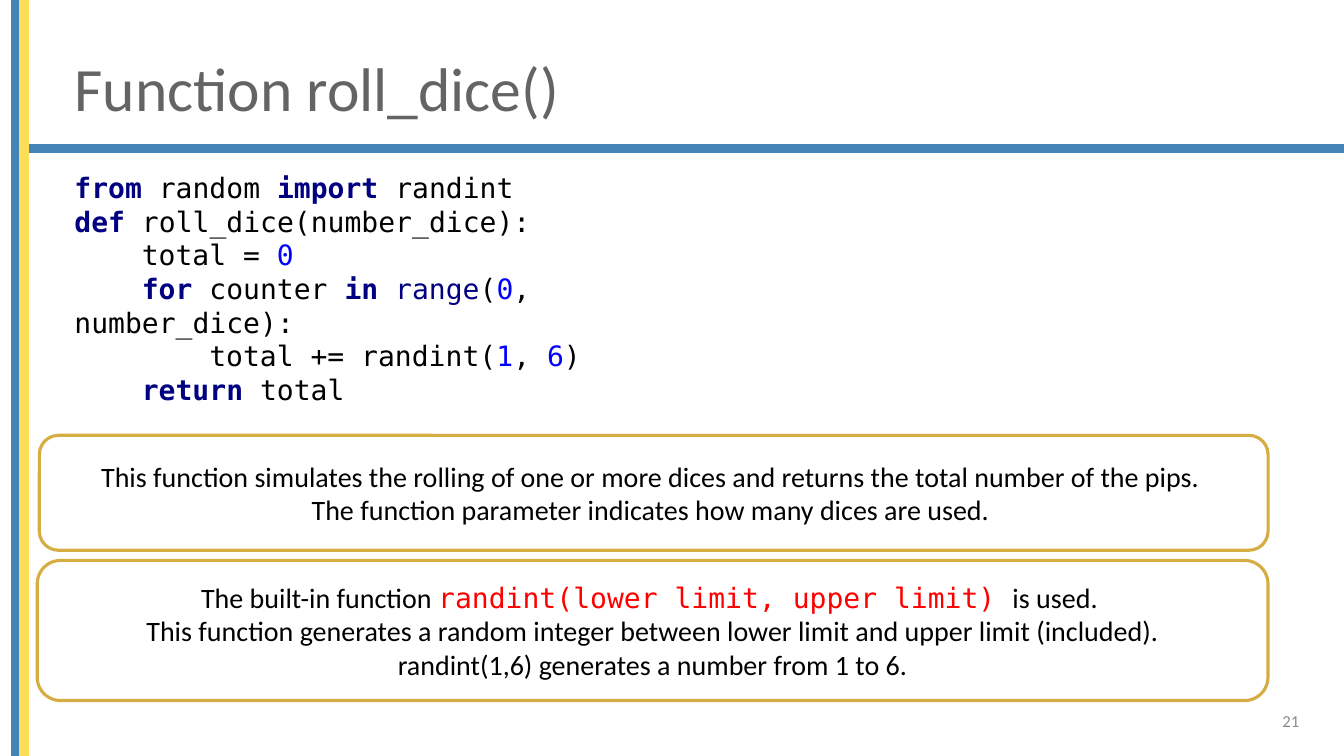
from lxml.etree import SubElement
from pptx import Presentation
from pptx.dml.color import RGBColor
from pptx.enum.shapes import MSO_SHAPE
from pptx.enum.text import MSO_ANCHOR, PP_ALIGN
from pptx.util import Pt

COLORS = {
    "blue": "4584B6", "yellow": "FFDE57", "gold": "D5AD42", "white": "FFFFFF",
    "title": "646464", "number": "8C8C8C", "plain": "000000",
    "keyword": "000080", "builtin": "000080", "literal": "0000FF", "call": "FF0000",
}
BODY_FONT, CODE_FONT = "Calibri", "DejaVu Sans Mono"
CODE_INDENT = 48.16

TITLE = "Function roll_dice()"
CODE = [
    (0, [("from ", "keyword"), ("random ", "plain"), ("import ", "keyword"), ("randint", "plain")]),
    (0, [("def ", "keyword"), ("roll_dice(number_dice):", "plain")]),
    (1, [("total = ", "plain"), ("0", "literal")]),
    (1, [("for ", "keyword"), ("counter ", "plain"), ("in ", "keyword"), ("range", "builtin"),
         ("(", "plain"), ("0", "literal"), (", number_dice):", "plain")]),
    (2, [("total += randint(", "plain"), ("1", "literal"), (", ", "plain"),
         ("6", "literal"), (")", "plain")]),
    (1, [("return ", "keyword"), ("total", "plain")]),
]
NOTES = [
    ((28.1, 311, 877.7, 82.1), [
        [("This function simulates the rolling of one or more dices and returns "
          "the total number of the pips. ", "plain")],
        [("The function parameter indicates how many dices are used. ", "plain")],
    ]),
    ((26.6, 400.3, 879.1, 100.1), [
        [("The built-in function ", "plain"),
         ("randint(lower limit, upper limit) ", "call"), ("is used. ", "plain")],
        [("This function generates a random integer between lower limit "
          "and upper limit (included).", "plain")],
        [("randint(1,6) generates a number from 1 to 6.", "plain")],
    ]),
]
BARS = [
    ((13.3, 103.3, 946.7, 5.8), "blue"),
    ((8.6, 0, 5.8, 540), "blue"),
    ((14.4, 0, 5.8, 540), "yellow"),
]


def rgb(name):
    return RGBColor.from_string(COLORS[name])


def add_run(paragraph, text, *, size=20, font=BODY_FONT, color="plain", bold=False):
    run = paragraph.add_run()
    run.text = text
    run.font.size = Pt(size)
    run.font.name = font
    run.font.bold = bold
    run.font.color.rgb = rgb(color)


def points(box):
    return [Pt(length) for length in box]


def add_panel(kind, box, fill, line, weight):
    panel = slide.shapes.add_shape(kind, *points(box))
    panel.shadow.inherit = False
    panel.fill.solid()
    panel.fill.fore_color.rgb = rgb(fill)
    panel.line.color.rgb = rgb(line)
    panel.line.width = Pt(weight)
    return panel


def add_textbox(box):
    frame = slide.shapes.add_textbox(*points(box)).text_frame
    frame.word_wrap = True
    frame.vertical_anchor = MSO_ANCHOR.MIDDLE
    return frame


def paragraphs(frame, count):
    for _ in range(count - 1):
        frame.add_paragraph()
    return frame.paragraphs


deck = Presentation()
deck.slide_width, deck.slide_height = Pt(960), Pt(540)
slide = deck.slides.add_slide(deck.slide_layouts[5])

for box, color in BARS:
    add_panel(MSO_SHAPE.RECTANGLE, box, color, color, 1)

title = slide.shapes.title
title.left, title.top, title.width, title.height = points((46.1, 28.8, 848.2, 72.7))
title.text_frame.vertical_anchor = MSO_ANCHOR.MIDDLE
heading = title.text_frame.paragraphs[0]
heading.alignment = PP_ALIGN.LEFT
heading.line_spacing = 0.9
add_run(heading, TITLE, size=44, color="title")

page_number = add_textbox((719.3, 500.4, 216, 28.8)).paragraphs[0]
page_number.alignment = PP_ALIGN.RIGHT
page_properties = {"id": "{B6F15528-21DE-4FAA-801E-634DDDAF4B2B}", "type": "slidenum"}
add_run(page_number, "21", size=12, color="number")

for box, lines in NOTES:
    frame = add_panel(MSO_SHAPE.ROUNDED_RECTANGLE, box, "white", "gold", 2.25).text_frame
    frame.word_wrap = True
    frame.vertical_anchor = MSO_ANCHOR.MIDDLE
    for paragraph, pieces in zip(paragraphs(frame, len(lines)), lines):
        paragraph.alignment = PP_ALIGN.CENTER
        for text, role in pieces:
            add_run(paragraph, text, color=role, font=CODE_FONT if role == "call" else BODY_FONT)

listing = add_textbox((46.1, 129.6, 470.2, 152.6))
for paragraph, (level, pieces) in zip(paragraphs(listing, len(CODE)), CODE):
    paragraph.alignment = PP_ALIGN.LEFT
    properties = paragraph._p.get_or_add_pPr()
    properties.set("marL", "0")
    properties.set("indent", str(Pt(level * CODE_INDENT)))
    for text, role in pieces:
        add_run(paragraph, text, font=CODE_FONT, color=role, bold=role == "keyword")

deck.save("out.pptx")
